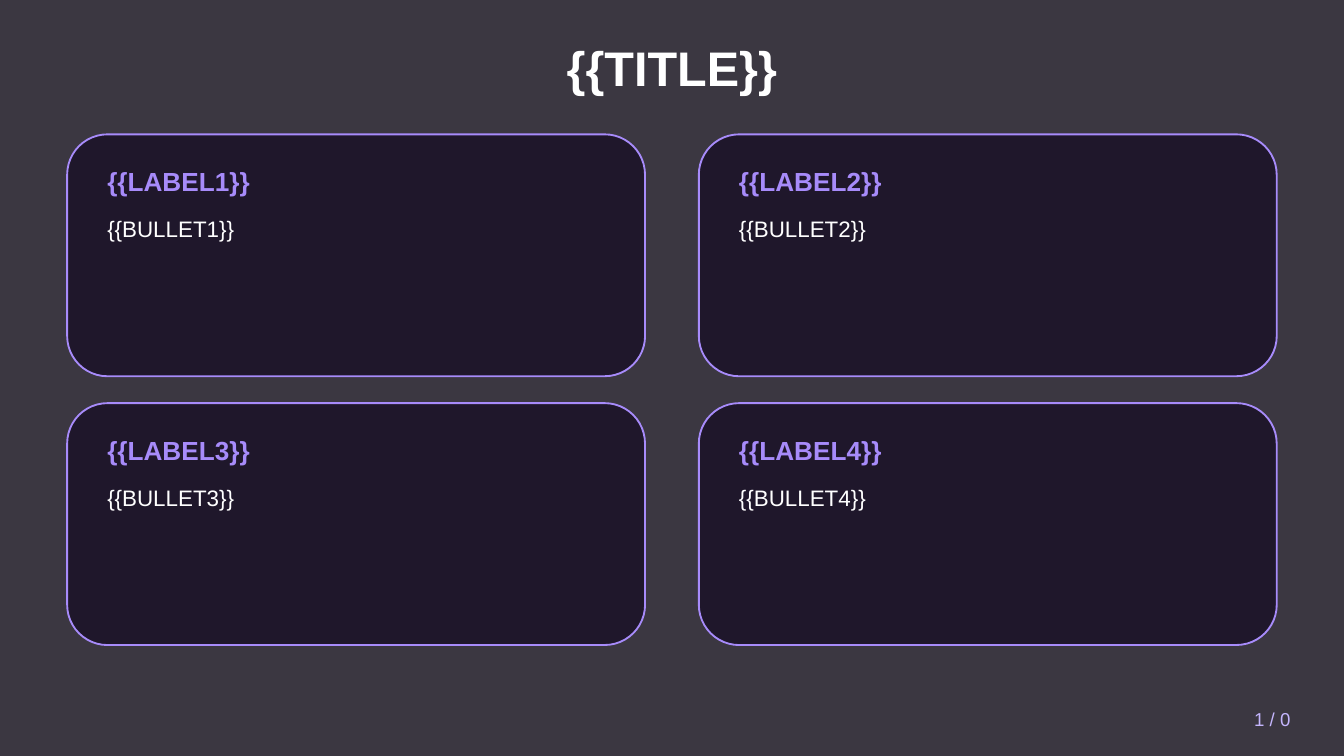
from dataclasses import dataclass

from lxml import etree
from pptx import Presentation
from pptx.dml.color import RGBColor
from pptx.enum.shapes import MSO_SHAPE
from pptx.enum.text import MSO_ANCHOR, MSO_AUTO_SIZE, PP_ALIGN
from pptx.oxml.ns import qn
from pptx.util import Inches, Pt

RECT, ROUNDED = MSO_SHAPE.RECTANGLE, MSO_SHAPE.ROUNDED_RECTANGLE
TOP, MIDDLE = MSO_ANCHOR.TOP, MSO_ANCHOR.MIDDLE
LEFT, CENTER, RIGHT = PP_ALIGN.LEFT, PP_ALIGN.CENTER, PP_ALIGN.RIGHT
NO_AUTOFIT = MSO_AUTO_SIZE.NONE

FONT = "Arial"
WHITE, VIOLET, LILAC = "FFFFFF", "A78BFA", "C4B5FD"
OVERLAY, PANEL = "0A0612", "140A23"
TITLE_ONLY = 5

SLIDE_W, SLIDE_H = 10, 10 * 9 / 16
MARGIN, GRID_TOP = 0.5, 1
CARD_W, CARD_H = 4.3, 1.8
GAP_X, GAP_Y = 0.4, 0.2
COLUMNS = 2
PAD = 0.2


@dataclass
class Box:
    x: float
    y: float
    w: float
    h: float

    def lengths(self) -> list:
        return [Inches(v) for v in (self.x, self.y, self.w, self.h)]


@dataclass
class Style:
    size: int
    color: str
    bold: bool = False
    align: PP_ALIGN = LEFT
    anchor: MSO_ANCHOR = MIDDLE


@dataclass
class Card:
    label: str
    bullet: str


TITLE = Style(26, WHITE, bold=True, align=CENTER)
LABEL = Style(14, VIOLET, bold=True)
BULLET = Style(12, WHITE, anchor=TOP)
PAGE = Style(10, LILAC, align=RIGHT)

CARDS = [Card(f"{{{{LABEL{n}}}}}", f"{{{{BULLET{n}}}}}") for n in range(1, 5)]


def rgb(color: str) -> RGBColor:
    return RGBColor.from_string(color)


def write(sp, text: str, style: Style) -> None:
    tf = sp.text_frame
    tf.word_wrap = True
    tf.auto_size = NO_AUTOFIT
    tf.vertical_anchor = style.anchor
    p = tf.paragraphs[0]
    p.text = text
    p.alignment = style.align
    p.font.name = FONT
    p.font.size = Pt(style.size)
    p.font.bold = style.bold
    p.font.color.rgb = rgb(style.color)


def add_text(s, box: Box, text: str, style: Style) -> None:
    write(s.shapes.add_textbox(*box.lengths()), text, style)


def add_panel(s, kind, box: Box, fill: str, opacity: int, line: str = ""):
    sp = s.shapes.add_shape(kind, *box.lengths())
    sp.shadow.inherit = False
    sp.fill.solid()
    sp.fill.fore_color.rgb = rgb(fill)
    color = sp.fill._xPr.find(qn("a:solidFill"))[0]
    etree.SubElement(color, qn("a:alpha"), val=str(opacity * 1000))
    if line:
        sp.line.color.rgb = rgb(line)
        sp.line.width = Pt(1)
    else:
        sp.line.fill.background()
    return sp


def add_card(s, index: int, card: Card) -> None:
    row, col = divmod(index, COLUMNS)
    x = MARGIN + col * (CARD_W + GAP_X)
    y = GRID_TOP + row * (CARD_H + GAP_Y)
    text_w = CARD_W - 2 * PAD
    add_panel(s, ROUNDED, Box(x, y, CARD_W, CARD_H), PANEL, 70, VIOLET)
    add_text(s, Box(x + PAD, y + 0.15, text_w, 0.4), card.label, LABEL)
    add_text(s, Box(x + PAD, y + 0.55, text_w, 1), card.bullet, BULLET)


def main() -> None:
    prs = Presentation()
    prs.slide_width, prs.slide_height = Inches(SLIDE_W), Inches(SLIDE_H)
    s = prs.slides.add_slide(prs.slide_layouts[TITLE_ONLY])

    title = s.shapes.title
    box = Box(MARGIN, 0.2, SLIDE_W - 2 * MARGIN, 0.6)
    title.left, title.top, title.width, title.height = box.lengths()
    write(title, "{{TITLE}}", TITLE)

    overlay = add_panel(s, RECT, Box(0, 0, SLIDE_W, SLIDE_H), OVERLAY, 80)
    title._element.addprevious(overlay._element)

    for index, card in enumerate(CARDS):
        add_card(s, index, card)
    add_text(s, Box(8.5, 5.2, 1.2, 0.3), "1 / 0", PAGE)

    prs.save("out.pptx")


if __name__ == "__main__":
    main()
